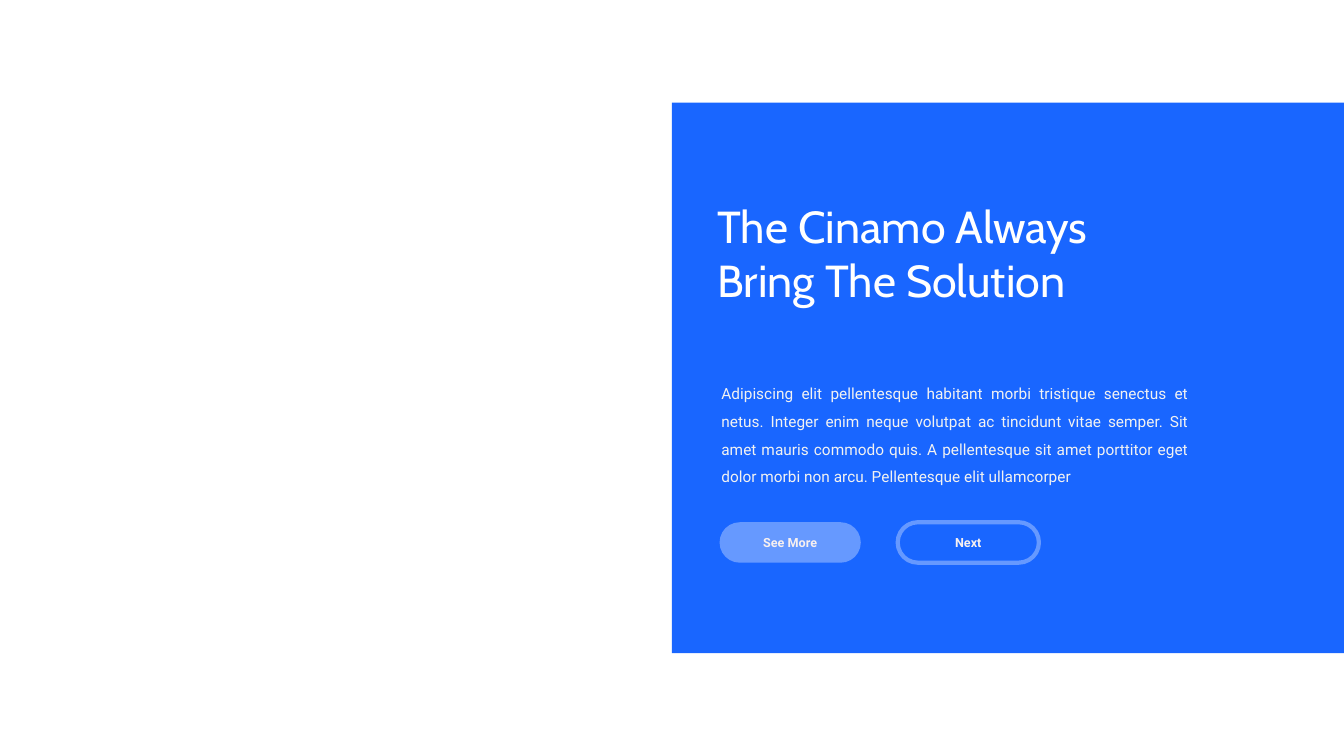
from pptx import Presentation
from pptx.dml.color import RGBColor
from pptx.enum.shapes import MSO_SHAPE as Kind
from pptx.enum.text import MSO_ANCHOR as Anchor, MSO_AUTO_SIZE as Fit, PP_ALIGN as Align
from pptx.oxml.ns import qn
from pptx.util import Cm, Pt

BLUE, LIGHT = "1966FF", "6699FF"


def paint(target, color):
    """Give a fill, line or font a hex colour."""
    target.rgb = RGBColor.from_string(color)


class Page:
    head, body = "Cabin", "Roboto"

    def __init__(self, deck):
        self.slide = deck.slides.add_slide(deck.slide_layouts[1])
        self.shapes = self.slide.shapes

    def label(self, shape, text, font, size, color, align, anchor, bold=False):
        """Fill a shape with one styled paragraph and return it."""
        frame = shape.text_frame
        frame.word_wrap = True
        frame.auto_size = Fit.NONE
        frame.vertical_anchor = anchor
        para = frame.paragraphs[0]
        para.alignment = align
        run = para.add_run()
        run.text = text
        run.font.name, run.font.size, run.font.bold = font, Pt(size), bold
        paint(run.font.color, color)
        return para

    def place(self, shape, left, top, width, height):
        shape.left, shape.top = Cm(left), Cm(top)
        shape.width, shape.height = Cm(width), Cm(height)

    def shape(self, kind, box, fill=None, line=None):
        shape = self.shapes.add_shape(kind, *map(Cm, box))
        shape.shadow.inherit = False
        if fill:
            shape.fill.solid()
            paint(shape.fill.fore_color, fill)
        else:
            shape.fill.background()
        if line:
            paint(shape.line.color, line)
            shape.line.width = Pt(3)
        else:
            shape.line.fill.background()
        return shape

    def panel(self, *box):
        """Add a blue block behind everything else."""
        shape = self.shape(Kind.RECTANGLE, box, BLUE)
        self.shapes.title._element.addprevious(shape._element)

    def title(self, text, *box):
        self.place(self.shapes.title, *box)
        self.label(self.shapes.title, text, self.head, 32, "FFFFFF",
                   Align.LEFT, Anchor.TOP)

    def prose(self, text, *box):
        """Put a plain justified paragraph in the body placeholder."""
        holder = self.slide.placeholders[1]
        self.place(holder, *box)
        para = self.label(holder, text, self.body, 11, "F2F2F2",
                          Align.JUSTIFY, Anchor.TOP)
        para.line_spacing = 1.5
        para.space_before = Pt(0)
        props = para._p.get_or_add_pPr()
        props.set("marL", "0")
        props.set("indent", "0")
        props.append(props.makeelement(qn("a:buNone"), {}))

    def button(self, text, left, fill=None, line=None):
        shape = self.shape(Kind.ROUNDED_RECTANGLE, (left, 13.16, 3.56, 1.02), fill, line)
        shape.adjustments[0] = 0.5
        self.label(shape, text, self.body, 9, "F7F0F0",
                   Align.CENTER, Anchor.MIDDLE, True)


def main():
    deck = Presentation()
    deck.slide_width, deck.slide_height = Cm(33.88), Cm(19.05)
    page = Page(deck)
    page.panel(16.94, 2.59, 16.94, 13.87)
    page.title("The Cinamo Always Bring The Solution", 17.83, 4.88, 11.38, 2.97)
    page.prose("Adipiscing elit pellentesque habitant morbi tristique senectus et netus. "
               "Integer enim neque volutpat ac tincidunt vitae semper. "
               "Sit amet mauris commodo quis. "
               "A pellentesque sit amet porttitor eget dolor morbi non arcu. "
               "Pellentesque elit ullamcorper", 17.93, 9.32, 12.29, 3.05)
    page.button("See More", 18.14, fill=LIGHT)
    page.button("Next", 22.63, line=LIGHT)
    deck.save("out.pptx")


if __name__ == "__main__":
    main()
